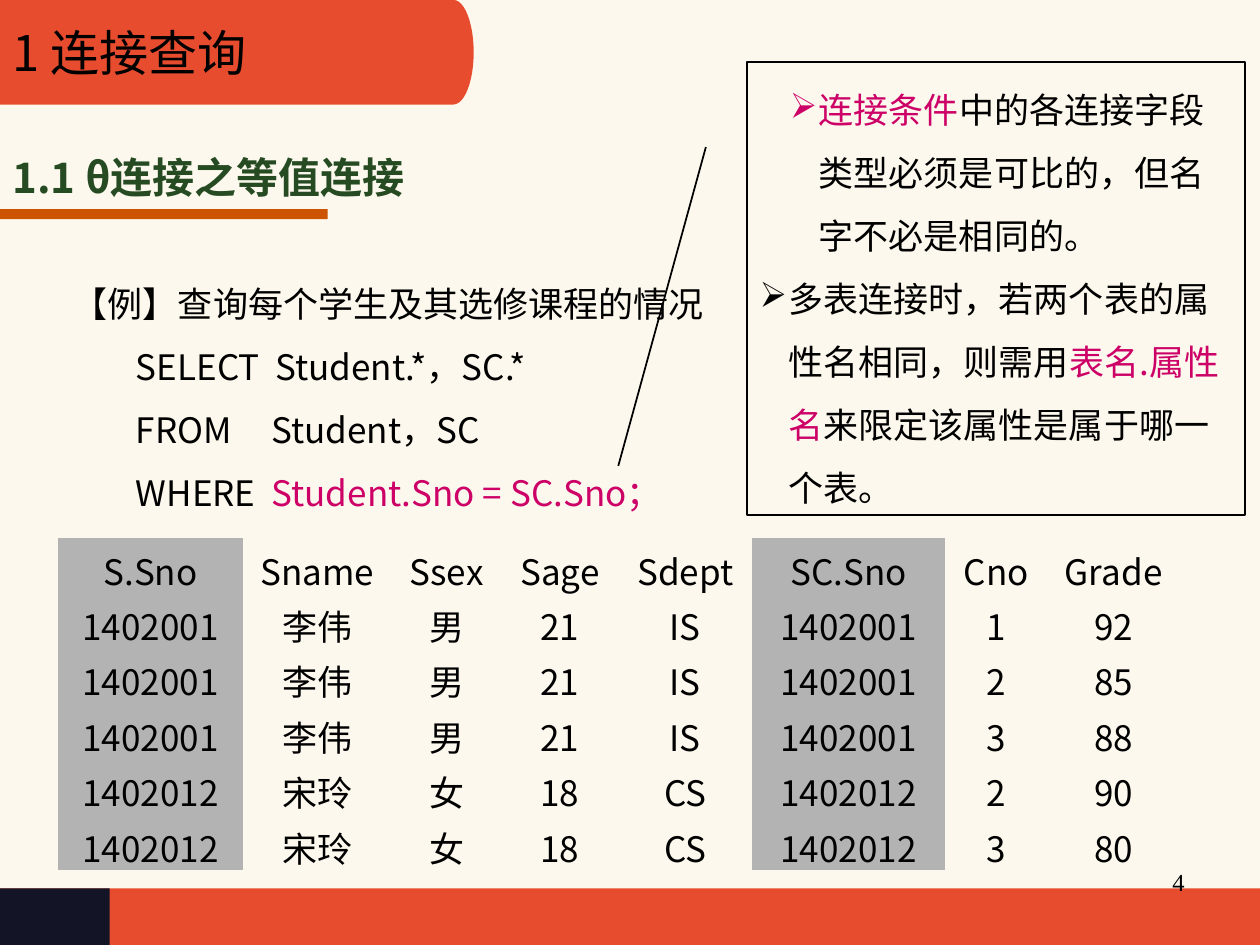
from dataclasses import dataclass
from math import cos, pi, sin

from lxml import etree
from pptx import Presentation
from pptx.dml.color import RGBColor
from pptx.enum.shapes import MSO_SHAPE
from pptx.enum.text import MSO_ANCHOR, PP_ALIGN
from pptx.oxml.ns import qn
from pptx.util import Inches, Pt

RECT, CALLOUT = MSO_SHAPE.RECTANGLE, MSO_SHAPE.LINE_CALLOUT_1
LEFT, CENTER, RIGHT = PP_ALIGN.LEFT, PP_ALIGN.CENTER, PP_ALIGN.RIGHT
TOP, MIDDLE = MSO_ANCHOR.TOP, MSO_ANCHOR.MIDDLE


@dataclass(frozen=True)
class Theme:
    paper: str = "FCF8ED"
    red: str = "E74C2E"
    navy: str = "131426"
    orange: str = "CC5300"
    green: str = "264B22"
    pink: str = "CC0066"
    gray: str = "B3B3B3"
    ink: str = "000000"
    font: str = "Noto Sans CJK SC"
    number_font: str = "Times New Roman"
    title: int = 28
    heading: int = 24
    body: int = 20
    number: int = 14


THEME = Theme()

QUERY = [
    [("【例】查询每个学生及其选修课程的情况", THEME.ink)],
    [("SELECT  Student.*，SC.*", THEME.ink)],
    [("FROM     Student，SC", THEME.ink)],
    [("WHERE  ", THEME.ink), ("Student.Sno = SC.Sno；", THEME.pink)],
]
NOTES = [
    [("连接条件", THEME.pink),
     ("中的各连接字段类型必须是可比的，但名字不必是相同的。", THEME.ink)],
    [("多表连接时，若两个表的属性名相同，则需用", THEME.ink),
     ("表名.属性名", THEME.pink),
     ("来限定该属性是属于哪一个表。", THEME.ink)],
]
COLUMNS = [("S.Sno", 1.47), ("Sname", 1.18), ("Ssex", 0.87), ("Sage", 0.93),
           ("Sdept", 1.06), ("SC.Sno", 1.53), ("Cno", 0.82), ("Grade", 1.04)]
KEY_COLUMNS = ("S.Sno", "SC.Sno")
LI_WEI = ("1402001", "李伟", "男", "21", "IS", "1402001")
SONG_LING = ("1402012", "宋玲", "女", "18", "CS", "1402012")
RECORDS = [
    (*LI_WEI, "1", "92"),
    (*LI_WEI, "2", "85"),
    (*LI_WEI, "3", "88"),
    (*SONG_LING, "2", "90"),
    (*SONG_LING, "3", "80"),
]


def rgb(color):
    return RGBColor.from_string(color)


def style_run(r, size, color, font=THEME.font, bold=False):
    """Format a run, for Latin and East Asian characters alike."""
    r.font.size, r.font.bold, r.font.name = Pt(size), bold, font
    r.font.color.rgb = rgb(color)
    ea = etree.Element(qn("a:ea"), typeface=font)
    r.font._element.find(qn("a:latin")).addnext(ea)


def write_line(tf, text, size, color=THEME.ink, align=LEFT, **style):
    p = tf.paragraphs[0]
    p.text = text
    p.alignment = align
    style_run(p.runs[0], size, color, **style)


def write_paragraphs(tf, paragraphs):
    """Write paragraphs given as lists of (text, colour) at 1.5 line spacing."""
    tf.word_wrap = True
    for i, parts in enumerate(paragraphs):
        p = tf.add_paragraph() if i else tf.paragraphs[0]
        p.alignment, p.line_spacing = LEFT, 1.5
        for text, color in parts:
            r = p.add_run()
            r.text = text
            style_run(r, THEME.body, color)


def set_indent(p, left, hanging=0):
    pPr = p._p.get_or_add_pPr()
    pPr.set("marL", str(Inches(left)))
    pPr.set("indent", str(-Inches(hanging)))
    return pPr


def add_bullet(p, left, hanging, color):
    pPr = set_indent(p, left, hanging)
    bu_clr = etree.SubElement(pPr, qn("a:buClr"))
    etree.SubElement(bu_clr, qn("a:srgbClr"), val=color)
    etree.SubElement(pPr, qn("a:buChar"), char="➢")


def add_text_box(slide, left, top, width, height):
    box = slide.shapes.add_textbox(Inches(left), Inches(top), Inches(width), Inches(height))
    box.text_frame.word_wrap = True
    return box.text_frame


def paint(sp, color):
    sp.shadow.inherit = False
    sp.fill.solid()
    sp.fill.fore_color.rgb = rgb(color)
    sp.line.fill.background()


def add_bar(slide, left, top, width, height, color):
    sp = slide.shapes.add_shape(RECT, Inches(left), Inches(top), Inches(width), Inches(height))
    paint(sp, color)


def add_title(slide, text, width=3.76, height=0.83, bulge=0.16, steps=24):
    """Set the title on a tab whose right side is half an ellipse."""
    half = height / 2
    angles = [pi * (i / steps - 0.5) for i in range(steps + 1)]
    arc = [(Inches(width - bulge + bulge * cos(a)), Inches(half + half * sin(a)))
           for a in angles]
    builder = slide.shapes.build_freeform(0, 0)
    builder.add_line_segments(arc + [(0, Inches(height))], close=True)
    tab = builder.convert_to_shape()
    paint(tab, THEME.red)

    title = slide.shapes.title
    title.left, title.top = 0, 0
    title.width, title.height = Inches(width), Inches(height)
    title.text_frame.vertical_anchor = MIDDLE
    write_line(title.text_frame, text, THEME.title)
    tab._element.addnext(title._element)


def add_query(slide):
    tf = add_text_box(slide, 0.48, 2.03, 6.46, 2.1)
    write_paragraphs(tf, QUERY)
    for p in tf.paragraphs[1:]:
        p.level = 1
        set_indent(p, 0.5)


def add_result_table(slide):
    rows = [[name for name, _ in COLUMNS], *RECORDS]
    row_height = Inches(0.44)
    table = slide.shapes.add_table(
        len(rows), len(COLUMNS), Inches(0.46), Inches(4.27),
        Inches(8.9), row_height * len(rows)).table
    table.first_row = table.horz_banding = False
    for column, (_, width) in zip(table.columns, COLUMNS):
        column.width = Inches(width)
    for i, row in enumerate(rows):
        table.rows[i].height = row_height
        for j, text in enumerate(row):
            cell = table.cell(i, j)
            if COLUMNS[j][0] in KEY_COLUMNS:
                cell.fill.solid()
                cell.fill.fore_color.rgb = rgb(THEME.gray)
            else:
                cell.fill.background()
            write_line(cell.text_frame, text, THEME.body, align=CENTER)
            hide_borders(cell)


def hide_borders(cell):
    tcPr = cell._tc.get_or_add_tcPr()
    for i, side in enumerate(("lnL", "lnR", "lnT", "lnB")):
        ln = etree.Element(qn(f"a:{side}"))
        etree.SubElement(ln, qn("a:noFill"))
        tcPr.insert(i, ln)


def add_notes_callout(slide):
    sp = slide.shapes.add_shape(CALLOUT, Inches(5.93), Inches(0.49), Inches(3.95), Inches(3.6))
    for i, value in enumerate((0.188, -0.083, 0.891, -0.259)):
        sp.adjustments[i] = value
    sp.shadow.inherit = False
    sp.fill.background()
    sp.line.color.rgb = rgb(THEME.ink)
    sp.line.width = Pt(1)
    tf = sp.text_frame
    tf.vertical_anchor = TOP
    write_paragraphs(tf, NOTES)
    first, second = tf.paragraphs
    first.level = 1
    add_bullet(first, 0.47, 0.23, THEME.pink)
    add_bullet(second, 0.23, 0.23, THEME.ink)


def main():
    prs = Presentation()
    prs.slide_width, prs.slide_height = Inches(10), Inches(7.5)
    slide = prs.slides.add_slide(prs.slide_layouts[5])
    slide.background.fill.solid()
    slide.background.fill.fore_color.rgb = rgb(THEME.paper)

    add_bar(slide, 0, 7.05, 10, 0.46, THEME.red)
    add_bar(slide, 0, 7.05, 0.87, 0.46, THEME.navy)
    write_line(add_text_box(slide, 7.17, 6.83, 2.33, 0.52), "4", THEME.number,
               align=RIGHT, font=THEME.number_font)
    add_bar(slide, 0, 1.66, 2.6, 0.08, THEME.orange)
    add_title(slide, "1 连接查询")
    write_line(add_text_box(slide, 0, 1.15, 3.78, 0.5), "1.1 θ连接之等值连接",
               THEME.heading, THEME.green, bold=True)
    add_query(slide)
    add_result_table(slide)
    add_notes_callout(slide)
    prs.save("out.pptx")


if __name__ == "__main__":
    main()
